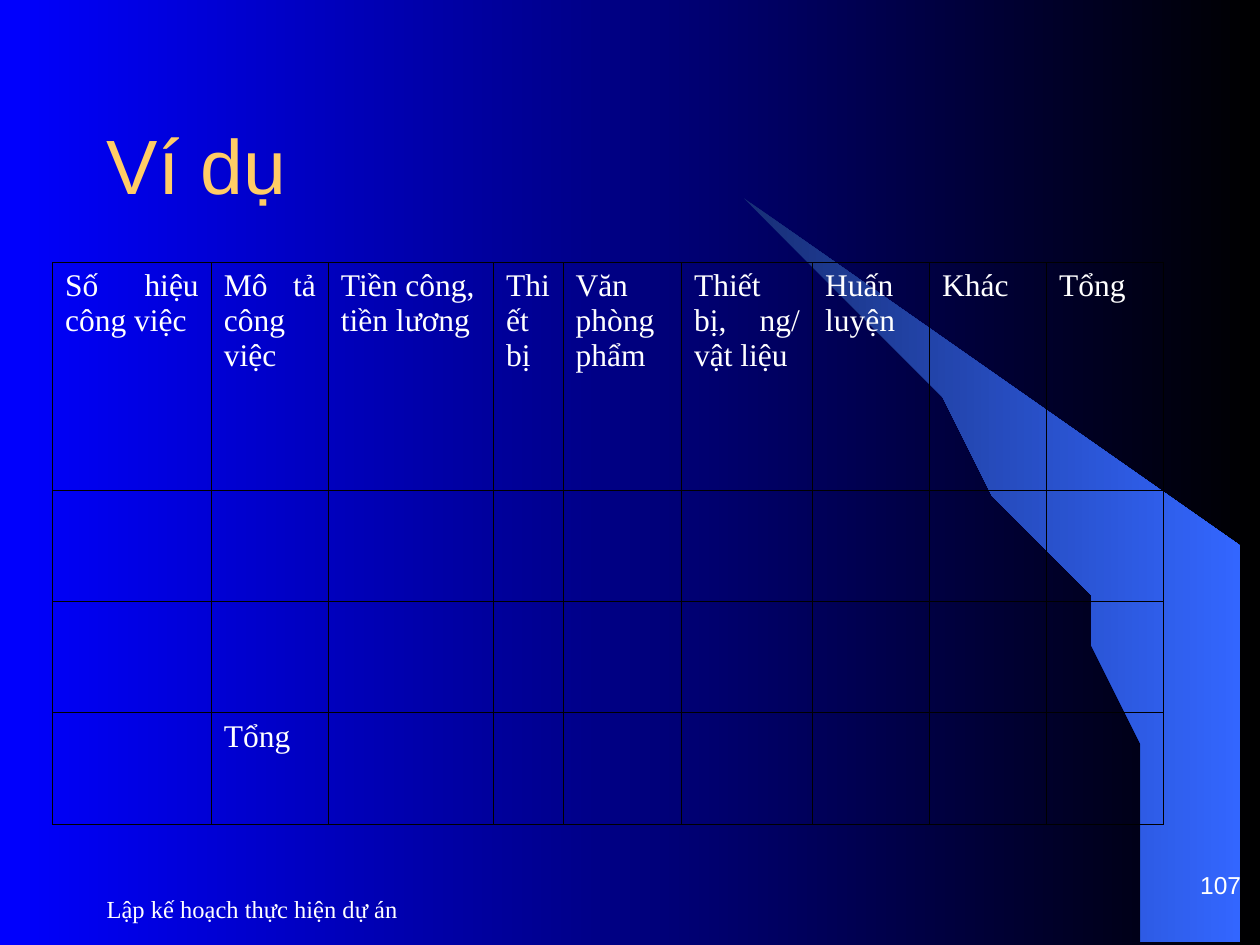
from dataclasses import dataclass

from lxml import etree
from pptx import Presentation
from pptx import util as u
from pptx.dml.color import RGBColor
from pptx.enum import text
from pptx.oxml import ns


@dataclass(frozen=True)
class Theme:
    sans: str = "Arial"
    serif: str = "Times New Roman"
    title_size: int = 44
    table_size: int = 18
    footer_size: int = 14
    title_color: str = "FFCC66"
    text_color: str = "FFFFFF"
    grid_color: str = "000000"
    grid_width: float = 0.45
    background: tuple = ("0000FF", "000000")
    crescent: tuple = ("182F76", "3366FF")


class SlideBuilder:
    def __init__(self, slide, theme):
        self.slide = slide
        self.theme = theme

    def gradient(self, fill, colors):
        fill.gradient()
        fill.gradient_angle = 0
        for stop, color, position in zip(fill.gradient_stops, colors, (0, 1)):
            stop.color.rgb = RGBColor.from_string(color)
            stop.position = position

    def set_text(self, frame, words, font, size, color=None, align=text.PP_ALIGN.LEFT):
        paragraph = frame.paragraphs[0]
        paragraph.text = words
        paragraph.alignment = align
        paragraph.font.name = font
        paragraph.font.size = u.Pt(size)
        paragraph.font.color.rgb = RGBColor.from_string(color or self.theme.text_color)

    def title(self, words, left, top, width, height):
        title = self.slide.shapes.title
        title.left, title.top = u.Cm(left), u.Cm(top)
        title.width, title.height = u.Cm(width), u.Cm(height)
        frame = title.text_frame
        frame.auto_size = text.MSO_AUTO_SIZE.NONE
        frame.vertical_anchor = text.MSO_ANCHOR.MIDDLE
        self.set_text(frame, words, self.theme.sans, self.theme.title_size,
                      self.theme.title_color)

    def label(self, words, box, font, anchor, align=text.PP_ALIGN.LEFT, inset=0.13):
        frame = self.slide.shapes.add_textbox(*map(u.Cm, box)).text_frame
        frame.word_wrap = True
        frame.vertical_anchor = anchor
        frame.margin_top = frame.margin_bottom = u.Cm(inset)
        self.set_text(frame, words, font, self.theme.footer_size, align=align)

    def outline(self, points, colors):
        builder = self.slide.shapes.build_freeform(*points[0], scale=u.Cm(1))
        builder.add_line_segments(points[1:], close=True)
        shape = builder.convert_to_shape()
        shape.shadow.inherit = False
        shape.line.fill.background()
        self.gradient(shape.fill, colors)

    def borders(self, cell):
        properties = cell._tc.get_or_add_tcPr()
        for side in ("a:lnL", "a:lnR", "a:lnT", "a:lnB"):
            line = etree.SubElement(properties, ns.qn(side),
                                    w=str(u.Pt(self.theme.grid_width)))
            fill = etree.SubElement(line, ns.qn("a:solidFill"))
            etree.SubElement(fill, ns.qn("a:srgbClr"), val=self.theme.grid_color)

    def table(self, left, top, widths, heights, words, left_aligned):
        table = self.slide.shapes.add_table(
            len(heights), len(widths), u.Cm(left), u.Cm(top),
            u.Cm(sum(widths)), u.Cm(sum(heights))).table
        table.first_row = table.horz_banding = False
        for column, width in zip(table.columns, widths):
            column.width = u.Cm(width)
        for row, height in zip(table.rows, heights):
            row.height = u.Cm(height)
        for r in range(len(heights)):
            for c in range(len(widths)):
                cell = table.cell(r, c)
                self.borders(cell)
                cell.fill.background()
                if (r, c) in words:
                    align = (text.PP_ALIGN.LEFT if (r, c) in left_aligned
                             else text.PP_ALIGN.JUSTIFY)
                    self.set_text(cell.text_frame, words[r, c], self.theme.serif,
                                  self.theme.table_size, align=align)


# Crescent: straight outer edges, then the inner curve from tip to foot (cm)
CRESCENT = [
    (23.37, 19), (25.37, 19.02), (25.37, 10.74), (14.96, 4.39), (15.85, 5.05),
    (16.59, 5.64), (17.4, 6.35), (18.19, 7.11), (19.35, 8.38), (20.4, 9.75),
    (21.13, 10.95), (21.79, 12.17), (22.3, 13.41), (22.68, 14.53),
    (22.94, 15.47), (23.19, 16.66), (23.29, 17.68),
]
COST_HEADINGS = [
    "Số hiệu công việc", "Mô tả công việc", "Tiền công, tiền lương",
    "Thiết bị", "Văn phòng phẩm", "Thiết bị, ng/ vật liệu",
    "Huấn luyện", "Khác", "Tổng",
]
COST_WIDTHS = [3.2, 2.36, 3.33, 1.4, 2.39, 2.64] + [2.36] * 3
COST_HEIGHTS = [4.6] + [2.24] * 3


def main():
    deck = Presentation()
    deck.slide_width, deck.slide_height = u.Cm(25.4), u.Cm(19.05)
    theme = Theme()
    page = SlideBuilder(deck.slides.add_slide(deck.slide_layouts[5]), theme)

    # Backdrop
    page.gradient(page.slide.background.fill, theme.background)
    page.outline(CRESCENT, theme.crescent)

    # Footer and page number
    page.label("Lập kế hoạch thực hiện dự án", (1.9, 17.68, 11.86, 1.27),
               theme.serif, text.MSO_ANCHOR.MIDDLE)
    page.label("107", (19.99, 17.07, 5.28, 1.07), theme.sans,
               text.MSO_ANCHOR.BOTTOM, text.PP_ALIGN.RIGHT, inset=0)

    # Title
    page.title("Ví dụ", 1.9, 1.7, 22.45, 3.18)

    # Cost table: headings and the total row
    words = {(0, c): heading for c, heading in enumerate(COST_HEADINGS)}
    words[3, 1] = "Tổng"
    page.table(1.06, 5.29, COST_WIDTHS, COST_HEIGHTS, words, left_aligned={(0, 2)})

    deck.save("out.pptx")


if __name__ == "__main__":
    main()
